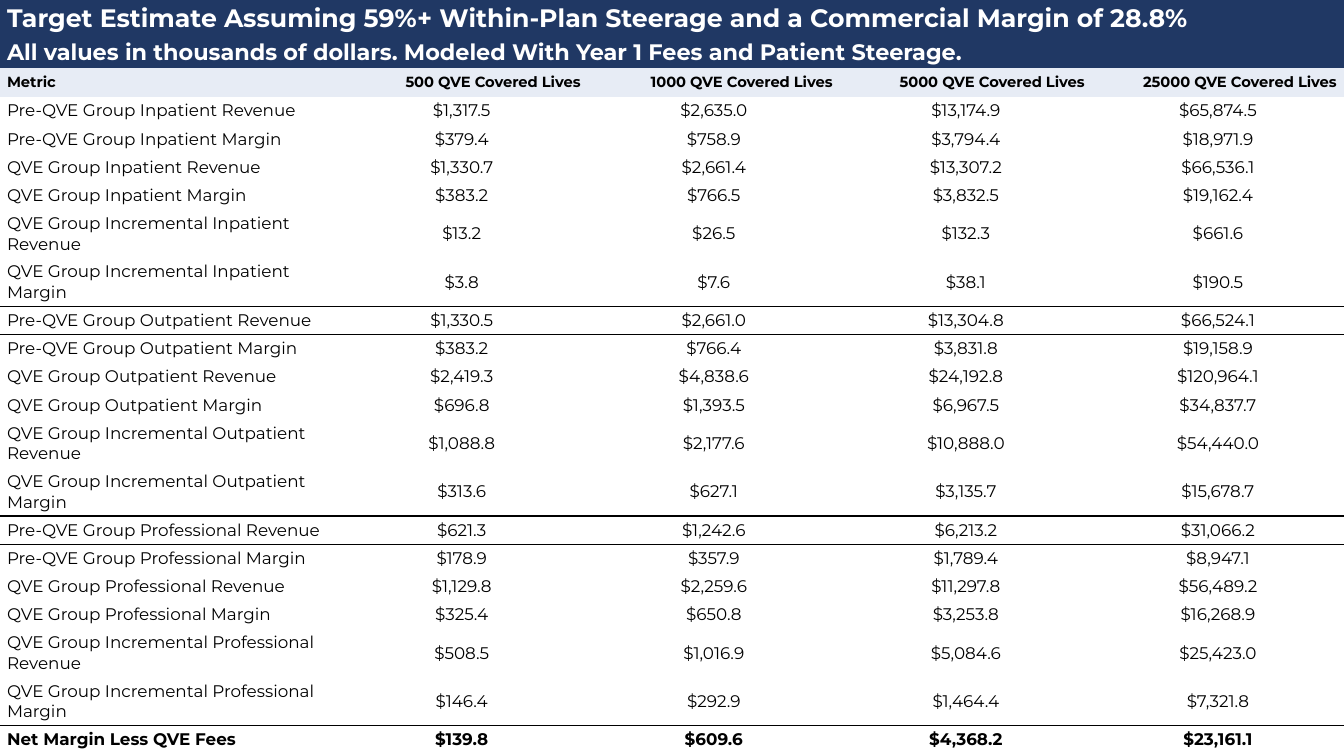
from lxml import etree
from pptx import Presentation
from pptx import util as u
from pptx.dml.color import RGBColor
from pptx.enum import text
from pptx.oxml import ns

COLORS = {"navy": "203864", "pale": "E7ECF5", "white": "FFFFFF", "black": "000000"}
FONT = "Montserrat"
NO_GRID_STYLE = "{2D5ABB26-0587-4C30-8999-92F81FD0307C}"
LEFT, CENTER, RIGHT = text.PP_ALIGN.LEFT, text.PP_ALIGN.CENTER, text.PP_ALIGN.RIGHT

lives = [500, 1000, 5000, 25000]
measures = [
    "Pre-QVE Group {} Revenue",
    "Pre-QVE Group {} Margin",
    "QVE Group {} Revenue",
    "QVE Group {} Margin",
    "QVE Group Incremental {} Revenue",
    "QVE Group Incremental {} Margin",
]
estimates = {
    "Inpatient": [
        [1317.5, 2635.0, 13174.9, 65874.5],
        [379.4, 758.9, 3794.4, 18971.9],
        [1330.7, 2661.4, 13307.2, 66536.1],
        [383.2, 766.5, 3832.5, 19162.4],
        [13.2, 26.5, 132.3, 661.6],
        [3.8, 7.6, 38.1, 190.5],
    ],
    "Outpatient": [
        [1330.5, 2661.0, 13304.8, 66524.1],
        [383.2, 766.4, 3831.8, 19158.9],
        [2419.3, 4838.6, 24192.8, 120964.1],
        [696.8, 1393.5, 6967.5, 34837.7],
        [1088.8, 2177.6, 10888.0, 54440.0],
        [313.6, 627.1, 3135.7, 15678.7],
    ],
    "Professional": [
        [621.3, 1242.6, 6213.2, 31066.2],
        [178.9, 357.9, 1789.4, 8947.1],
        [1129.8, 2259.6, 11297.8, 56489.2],
        [325.4, 650.8, 3253.8, 16268.9],
        [508.5, 1016.9, 5084.6, 25423.0],
        [146.4, 292.9, 1464.4, 7321.8],
    ],
}
net_margin = [139.8, 609.6, 4368.2, 23161.1]

title = {"size": 18, "bold": True, "color": "white", "fill": "navy", "height": 0.36}
subtitle = {**title, "size": 16, "height": 0.32}
header = {"size": 10.5, "bold": True, "color": "black", "fill": "pale", "height": 0.28, "align": RIGHT}
body = {"size": 12, "bold": False, "color": "black", "fill": None, "height": 0.28, "align": CENTER}
tall = {**body, "height": 0.48}
total = {**body, "bold": True, "edges": ["lnT"]}

rows = [
    (["Target Estimate Assuming 59%+ Within-Plan Steerage and a Commercial Margin of 28.8%"], title),
    (["All values in thousands of dollars. Modeled With Year 1 Fees and Patient Steerage."], subtitle),
    (["Metric"] + [f"{count} QVE Covered Lives" for count in lives], header),
]
for group, figures in estimates.items():
    for index, (measure, values) in enumerate(zip(measures, figures)):
        look = dict(tall if "Incremental" in measure else body)
        if index == 0 and group != "Inpatient":
            look["edges"] = ["lnT"]
        if index == len(measures) - 1:
            look["edges"] = ["lnB"]
        rows.append(([measure.format(group)] + [f"${value:,.1f}" for value in values], look))
rows.append((["Net Margin Less QVE Fees"] + [f"${value:,.1f}" for value in net_margin], total))


def add_edge(cell, side):
    line = etree.Element(ns.qn(f"a:{side}"), w=str(u.Pt(1)))
    fill = etree.SubElement(line, ns.qn("a:solidFill"))
    etree.SubElement(fill, ns.qn("a:srgbClr"), val=COLORS["black"])
    cell._tc.get_or_add_tcPr().insert(0, line)


deck = Presentation()
deck.slide_width, deck.slide_height = u.Inches(13.33), u.Inches(7.5)
page = deck.slides.add_slide(deck.slide_layouts[6])

frame = page.shapes.add_table(len(rows), 5, 0, 0, u.Inches(13.33), u.Inches(7.5))
table = frame.table
table.first_row = table.horz_banding = False
table._tbl.tblPr.find(ns.qn("a:tableStyleId")).text = NO_GRID_STYLE
for number, column in enumerate(table.columns):
    column.width = u.Inches(2.5 if number else 3.33)

for row_number, (labels, look) in enumerate(rows):
    table.rows[row_number].height = u.Inches(look["height"])
    if len(labels) == 1:
        table.cell(row_number, 0).merge(table.cell(row_number, 4))
    for column_number, label in enumerate(labels):
        cell = table.cell(row_number, column_number)
        cell.vertical_anchor = text.MSO_ANCHOR.MIDDLE
        for side in ("left", "right", "top", "bottom"):
            setattr(cell, f"margin_{side}", 0)
        if look["fill"]:
            cell.fill.solid()
            cell.fill.fore_color.rgb = RGBColor.from_string(COLORS[look["fill"]])
        else:
            cell.fill.background()
        for side in look.get("edges", []):
            add_edge(cell, side)
        para = cell.text_frame.paragraphs[0]
        para.alignment = look["align"] if column_number else LEFT
        for indent in ("marL", "marR"):
            para._p.get_or_add_pPr().set(indent, str(u.Inches(0.07)))
        span = para.add_run()
        span.text = label
        for name, value in {"name": FONT, "size": u.Pt(look["size"]), "bold": look["bold"]}.items():
            setattr(span.font, name, value)
        span.font.color.rgb = RGBColor.from_string(COLORS[look["color"]])

deck.save("out.pptx")
